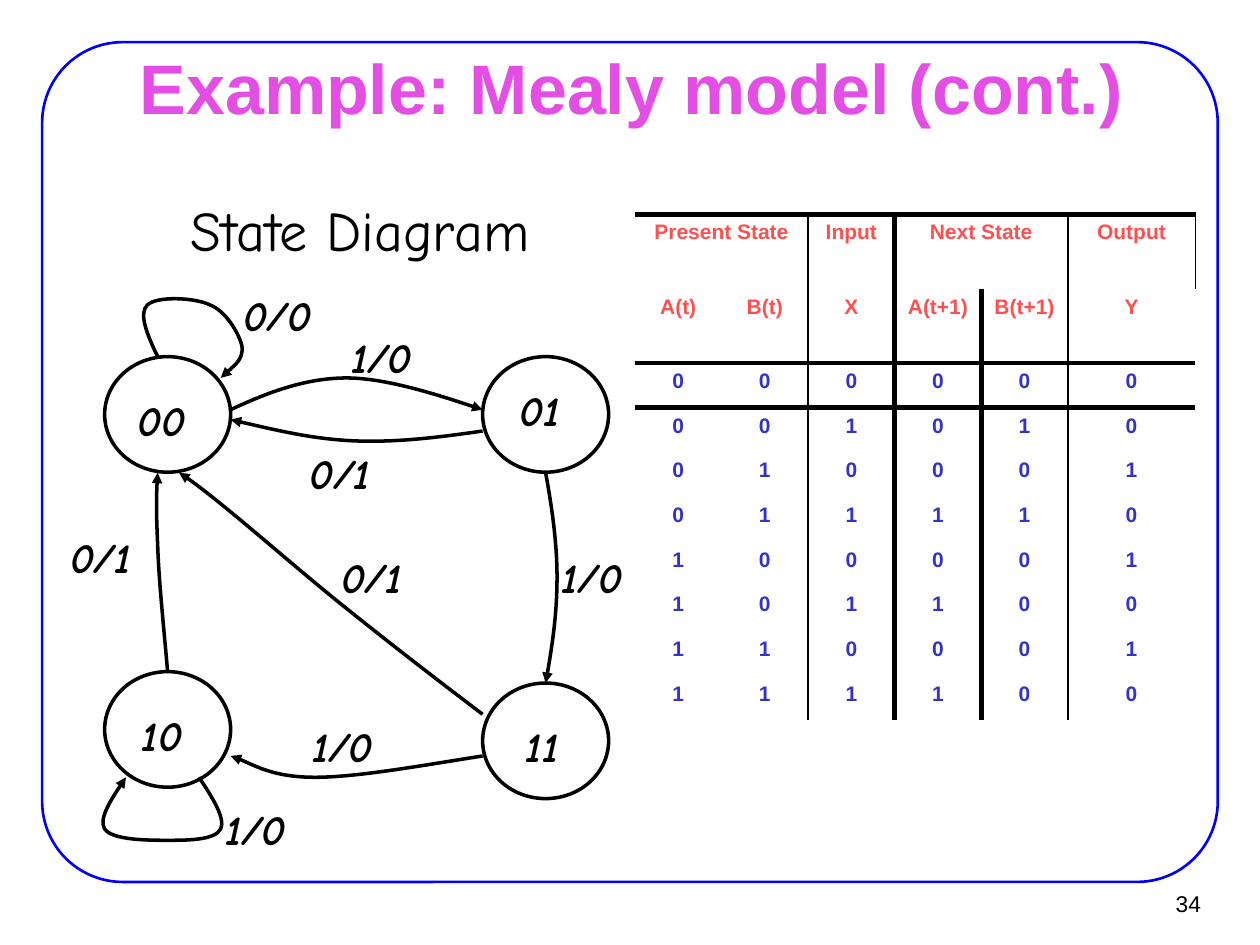
"""Build a slide with a Mealy machine state diagram and its state table."""
import lxml.etree
import pptx
import pptx.dml.color
import pptx.enum.shapes
import pptx.enum.text
import pptx.oxml.ns
import pptx.util

Cm, Pt, qn = pptx.util.Cm, pptx.util.Pt, pptx.oxml.ns.qn
ALIGN = pptx.enum.text.PP_ALIGN
MIDDLE = pptx.enum.text.MSO_ANCHOR.MIDDLE
SHAPES = pptx.enum.shapes.MSO_SHAPE
BLACK, RED, BLUE = "000000", "FF5050", "3333CC"

STATE_SIZE = (2.54, 2.33)
STATES = [
    ("00", (2.11, 7.19), (2.49, 7.82)),
    ("01", (9.73, 7.19), (10.11, 7.62)),
    ("11", (9.73, 13.77), (10.16, 14.4)),
    ("10", (2.11, 13.54), (2.49, 14.17)),
]
TRANSITIONS = [
    ("0/0", (4.6, 5.72), [
        (3.18, 7.19), (2.97, 6.76), (2.79, 6.32), (2.97, 6.15), (3.15, 5.97),
        (3.91, 5.99), (4.24, 6.15), (4.55, 6.27), (4.83, 6.73), (4.88, 6.99),
        (4.9, 7.24), (4.67, 7.42), (4.45, 7.62)]),
    ("1/0", (6.71, 6.55), [
        (4.65, 8.26), (5.38, 7.92), (6.15, 7.62), (6.99, 7.62),
        (7.82, 7.62), (9.25, 8.1), (9.73, 8.26)]),
    ("0/1", (5.87, 8.89), [
        (9.73, 8.69), (8.89, 8.81), (8.05, 8.92), (7.19, 8.89),
        (6.35, 8.86), (5.51, 8.66), (4.65, 8.46)]),
    ("1/0", (10.95, 11), [
        (11, 9.53), (11.13, 10.24), (11.23, 10.95), (11.23, 11.63),
        (11.23, 12.34), (11.13, 13.06), (11, 13.77)]),
    ("0/1", (6.5, 11), [
        (9.73, 14.4), (8.86, 13.74), (8, 13.08), (6.99, 12.27),
        (5.97, 11.46), (4.24, 9.91), (3.61, 9.53)]),
    ("1/0", (5.92, 14.4), [
        (9.73, 15.24), (8.46, 15.44), (7.19, 15.67), (6.35, 15.67),
        (5.51, 15.67), (4.93, 15.32), (4.65, 15.24)]),
    ("0/1", (1.04, 10.59), [
        (3.38, 13.54), (3.3, 12.62), (3.2, 11.68), (3.18, 11),
        (3.15, 10.34), (3.15, 9.93), (3.18, 9.53)]),
    ("1/0", (4.17, 16.08), [
        (4.01, 15.67), (4.29, 16.08), (4.55, 16.51), (4.45, 16.71), (4.34, 16.94),
        (3.78, 16.94), (3.38, 16.94), (3, 16.94), (2.26, 16.94), (2.11, 16.71),
        (1.98, 16.51), (2.39, 15.88), (2.54, 15.67)]),
]
HEADINGS = [
    ("Present State", "", "Input", "Next State", "", "Output"),
    ("A(t)", "B(t)", "X", "A(t+1)", "B(t+1)", "Y"),
]
STATE_ROWS = ["000000", "001010", "010001", "011110",
              "100001", "101100", "110001", "111100"]
COLUMN_WIDTHS = [1.745] * 5 + [2.57]
ROW_HEIGHTS = [1.5] * 2 + [0.9] * 8
COLUMN_RULES = {2: 1.5, 3: 3, 5: 1}
ROW_RULES = {0: 3, 2: 3}


def rgb(hex_code):
    return pptx.dml.color.RGBColor.from_string(hex_code)


def write(frame, text, size=24, color=BLACK, font="Comic Neue", bold=False,
          italic=False, align=ALIGN.CENTER, anchor=None, wrap=True):
    frame.word_wrap = wrap
    if anchor is not None:
        frame.vertical_anchor = anchor
    paragraph = frame.paragraphs[0]
    paragraph.alignment = align
    run = paragraph.add_run()
    run.text = text
    run.font.size, run.font.name = Pt(size), font
    run.font.bold, run.font.italic = bold, italic
    run.font.color.rgb = rgb(color)


def add_text(slide, text, left, top, width, height, **style):
    box = slide.shapes.add_textbox(Cm(left), Cm(top), Cm(width), Cm(height))
    write(box.text_frame, text, **style)


def outline(shape, color, width):
    shape.shadow.inherit = False
    shape.fill.background()
    shape.line.color.rgb = rgb(color)
    shape.line.width = Pt(width)


def add_arrow(slide, points):
    start, *rest = [(Cm(x), Cm(y)) for x, y in points]
    builder = slide.shapes.build_freeform(*start, scale=1)
    builder.add_line_segments(rest, close=False)
    arrow = builder.convert_to_shape()
    outline(arrow, BLACK, 2)
    curve = next(arrow.element.iter(qn("a:path")))
    segments = curve.findall(qn("a:lnTo"))
    for first in range(0, len(segments), 3):
        bezier = lxml.etree.SubElement(curve, qn("a:cubicBezTo"))
        for segment in segments[first:first + 3]:
            bezier.append(segment[0])
            curve.remove(segment)
    line = arrow.element.spPr.find(qn("a:ln"))
    lxml.etree.SubElement(line, qn("a:tailEnd"), type="triangle")


def rule_cell(cell, row, column):
    properties = cell._tc.get_or_add_tcPr()
    sides = {"L": COLUMN_RULES.get(column), "R": COLUMN_RULES.get(column + cell.span_width),
             "T": ROW_RULES.get(row), "B": ROW_RULES.get(row + 1)}
    for side, width in sides.items():
        if width:
            line = lxml.etree.SubElement(properties, qn("a:ln" + side), w=str(Pt(width)))
            fill = lxml.etree.SubElement(line, qn("a:solidFill"))
            lxml.etree.SubElement(fill, qn("a:srgbClr"), val=BLACK)
    cell.fill.background()


def add_state_table(slide):
    rows = HEADINGS + STATE_ROWS
    table = slide.shapes.add_table(
        len(rows), len(COLUMN_WIDTHS), Cm(12.8), Cm(4.32),
        Cm(sum(COLUMN_WIDTHS)), Cm(sum(ROW_HEIGHTS))).table
    table.first_row = table.horz_banding = False
    style = next(table._tbl.iter(qn("a:tableStyleId")))
    style.text = "{2D5ABB26-0587-4C30-8999-92F81FD0307C}"
    for column, width in zip(table.columns, COLUMN_WIDTHS):
        column.width = Cm(width)
    for row, height in zip(table.rows, ROW_HEIGHTS):
        row.height = Cm(height)
    for first in (0, 3):
        table.cell(0, first).merge(table.cell(0, first + 1))
    for r, values in enumerate(rows):
        for c, value in enumerate(values):
            cell = table.cell(r, c)
            rule_cell(cell, r, c)
            if value:
                write(cell.text_frame, value, size=12, font="Arial", bold=True,
                      color=RED if r < len(HEADINGS) else BLUE)


def main():
    deck = pptx.Presentation()
    deck.slide_width, deck.slide_height = Cm(25.4), Cm(19.05)
    slide = deck.slides.add_slide(deck.slide_layouts[5])

    frame = slide.shapes.add_shape(
        SHAPES.ROUNDED_RECTANGLE, Cm(0.85), Cm(0.85), Cm(23.7), Cm(16.93))
    frame.adjustments[0] = 0.096
    outline(frame, "0000FF", 1.5)

    title = slide.shapes.title
    title.left, title.top, title.width, title.height = Cm(1.93), Cm(1.12), Cm(21.59), Cm(1.24)
    title.text_frame.auto_size = pptx.enum.text.MSO_AUTO_SIZE.NONE
    write(title.text_frame, "Example: Mealy model (cont.)", size=40, color="E44EE4",
          font="Arial", bold=True, anchor=MIDDLE)
    add_text(slide, "34", 22.91, 17.75, 1.55, 0.94, size=13, font="Arial",
             align=ALIGN.RIGHT, anchor=MIDDLE, wrap=False)
    add_text(slide, "State Diagram", 3.6, 3.81, 10.16, 1.83, size=32, align=ALIGN.LEFT)

    for name, corner, label in STATES:
        state = slide.shapes.add_shape(SHAPES.OVAL, *map(Cm, corner + STATE_SIZE))
        outline(state, BLACK, 2)
        add_text(slide, name, *label, 1.55, 1.45, bold=True, italic=True, wrap=False)
    for name, label, points in TRANSITIONS:
        add_arrow(slide, points)
        add_text(slide, name, *label, 1.98, 1.45, bold=True, italic=True, wrap=False)

    add_state_table(slide)
    deck.save("out.pptx")


if __name__ == "__main__":
    main()
